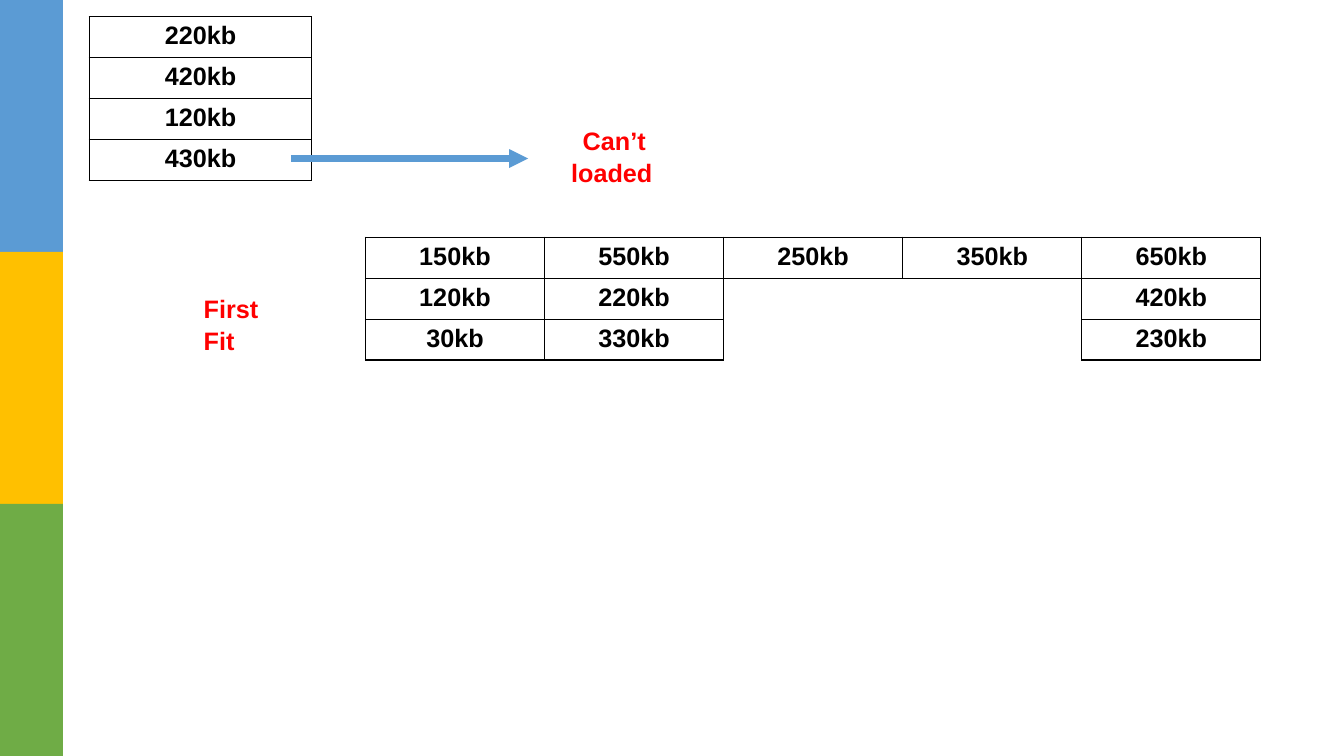
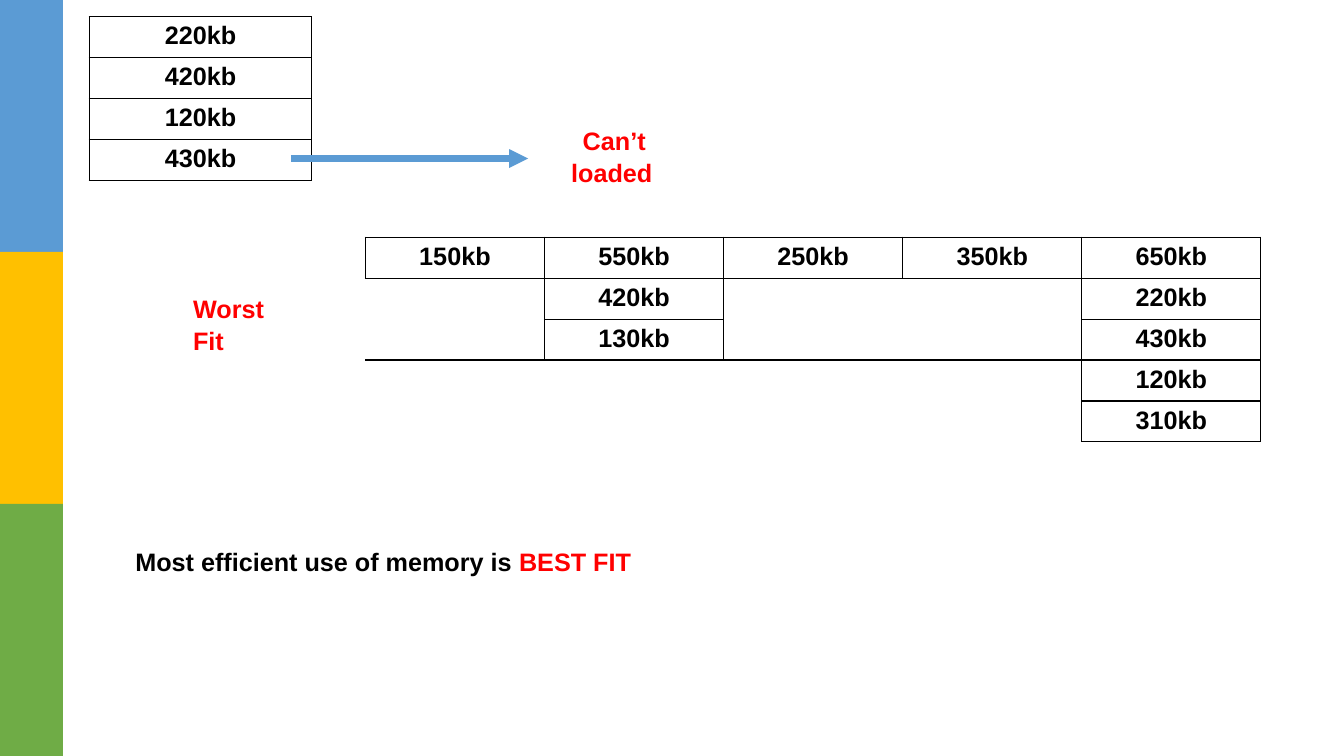
import pptx
import pptx.dml.color
import pptx.enum.dml
import pptx.enum.shapes
import pptx.enum.text
import pptx.oxml.ns
import pptx.util
from lxml import etree

EMU_PER_PX = 9525
WIDTH, HEIGHT = 1280, 720
BLACK, RED, BLUE = "000000", "FF0000", "5B9BD4"
BANDS = [BLUE, "FFC000", "6FAC46"]
BAND_WIDTH = 60
ROW_HEIGHT = 39
BOLD_ARIAL = {"name": "Arial", "size": pptx.util.Pt(18), "bold": True}
PLAIN_FRAME = {
    "word_wrap": True,
    "auto_size": pptx.enum.text.MSO_AUTO_SIZE.NONE,
    "vertical_anchor": pptx.enum.text.MSO_ANCHOR.TOP,
    "margin_left": EMU_PER_PX,
    "margin_top": EMU_PER_PX,
    "margin_right": 0,
    "margin_bottom": 0,
}
CELL_FORMAT = {
    "margin_left": 0,
    "margin_top": 5 * EMU_PER_PX,
    "margin_right": 0,
    "margin_bottom": 0,
    "vertical_anchor": pptx.enum.text.MSO_ANCHOR.TOP,
}


def px(*lengths):
    return [pptx.util.Emu(length * EMU_PER_PX) for length in lengths]


def color(hex_code):
    return pptx.dml.color.RGBColor.from_string(hex_code)


def apply(target, values):
    for attribute, value in values.items():
        setattr(target, attribute, value)


def add_xml(parent, tag, **attributes):
    return etree.SubElement(parent, pptx.oxml.ns.qn(tag), attributes)


class Deck:
    """Holds the presentation, its style and the slide being filled."""

    def __init__(self):
        self.presentation = pptx.Presentation()
        size = px(WIDTH, HEIGHT)
        self.presentation.slide_width, self.presentation.slide_height = size
        self.slide = None

    def new_slide(self):
        title_only = self.presentation.slide_layouts[5]
        self.slide = self.presentation.slides.add_slide(title_only)
        band_height = HEIGHT // len(BANDS)
        for index, fill in enumerate(BANDS):
            self.rectangle(0, index * band_height, BAND_WIDTH, band_height, fill)

    def rectangle(self, left, top, width, height, fill):
        band = self.slide.shapes.add_shape(
            pptx.enum.shapes.MSO_SHAPE.RECTANGLE, *px(left, top, width, height))
        band.shadow.inherit = False
        band.fill.solid()
        band.fill.fore_color.rgb = color(fill)
        band.line.fill.background()

    def add_runs(self, paragraph, runs):
        """Fill a paragraph with (text, colour) runs."""
        for text, hex_code in runs:
            run = paragraph.add_run()
            run.text = text
            apply(run.font, BOLD_ARIAL)
            run.font.color.rgb = color(hex_code)

    def fill_frame(self, frame, runs):
        apply(frame, PLAIN_FRAME)
        paragraph = frame.paragraphs[0]
        apply(paragraph, {"alignment": pptx.enum.text.PP_ALIGN.LEFT,
                          "line_spacing": 1.05})
        self.add_runs(paragraph, runs)
        return paragraph

    def title(self, text, left, top, width, height, first_indent):
        heading = self.slide.shapes.title
        apply(heading, dict(zip(("left", "top", "width", "height"),
                                px(left, top, width, height))))
        paragraph = self.fill_frame(heading.text_frame, [(text, RED)])
        indent = str(first_indent * EMU_PER_PX)
        paragraph._p.get_or_add_pPr().set("indent", indent)

    def label(self, runs, left, top, width, height):
        box = self.slide.shapes.add_textbox(*px(left, top, width, height))
        self.fill_frame(box.text_frame, runs)

    def arrow(self, x1, y1, x2, y2):
        connector = self.slide.shapes.add_connector(
            pptx.enum.shapes.MSO_CONNECTOR.STRAIGHT, *px(x1, y1, x2, y2))
        connector.line.color.rgb = color(BLUE)
        connector.line.width = pptx.util.Pt(4.5)
        add_xml(connector.line._get_or_add_ln(), "a:tailEnd", type="triangle")
        add_xml(connector._element.spPr, "a:effectLst")

    def borders(self, cell, sides):
        """Draw the named sides of a cell and clear the others."""
        properties = cell._tc.get_or_add_tcPr()
        for side in "LRTB":
            line = add_xml(properties, f"a:ln{side}", w="12700")
            if side in sides:
                add_xml(add_xml(line, "a:solidFill"), "a:srgbClr", val=BLACK)
            else:
                add_xml(line, "a:noFill")

    def table(self, rows, left, top, width, spans=()):
        """Add a bordered grid; spans are (row, column, height, width, sides)."""
        table = self.slide.shapes.add_table(
            len(rows), len(rows[0]),
            *px(left, top, width, ROW_HEIGHT * len(rows))).table
        apply(table, {"first_row": False, "horz_banding": False})
        sides = {(r, c): "LRTB" for r in range(len(rows))
                 for c in range(len(rows[0]))}
        for row, column, height, breadth, drawn in spans:
            last_row, last_column = row + height - 1, column + breadth - 1
            for r in range(row, last_row + 1):
                for c in range(column, last_column + 1):
                    edges = {"L": c == column, "R": c == last_column,
                             "T": r == row, "B": r == last_row}
                    sides[r, c] = [s for s in drawn if edges[s]]
            table.cell(row, column).merge(table.cell(last_row, last_column))
        for (r, c), drawn in sides.items():
            cell = table.cell(r, c)
            self.borders(cell, drawn)
            cell.fill.background()
            apply(cell, CELL_FORMAT)
            if rows[r][c]:
                paragraph = cell.text_frame.paragraphs[0]
                paragraph.alignment = pptx.enum.text.PP_ALIGN.CENTER
                self.add_runs(paragraph, [(f"{rows[r][c]}kb", BLACK)])

    def allocation(self, method, method_left, method_width, partitions, spans):
        """Start a slide showing how one method places the processes."""
        self.new_slide()
        self.table([[220], [420], [120], [430]], 85, 16, 212)
        self.table(partitions, 348, 226, 853, spans)
        self.label([(method, RED)], method_left, 277, method_width, 60)
        self.arrow(277, 151, 503, 151)
        self.title("Can’t loaded", 543, 117, 86, 60, 11)


def main():
    deck = Deck()
    sizes = [150, 550, 250, 350, 650]
    deck.allocation(
        "First Fit", 193, 77,
        [sizes,
         [120, 220, None, None, 420],
         [30, 330, None, None, 230]],
        [(1, 2, 2, 2, "LTR")])
    deck.allocation(
        "Worst Fit", 183, 96,
        [sizes,
         [None, 420, None, None, 220],
         [None, 130, None, None, 430],
         [None, None, None, None, 120],
         [None, None, None, None, 310]],
        [(1, 0, 2, 1, "TRB"), (1, 2, 2, 2, "LTRB"), (3, 0, 2, 4, "TR")])
    deck.label([("Most efficient use of memory is ", BLACK), ("BEST FIT", RED)],
               128, 518, 507, 31)
    deck.presentation.save("out.pptx")


if __name__ == "__main__":
    main()
